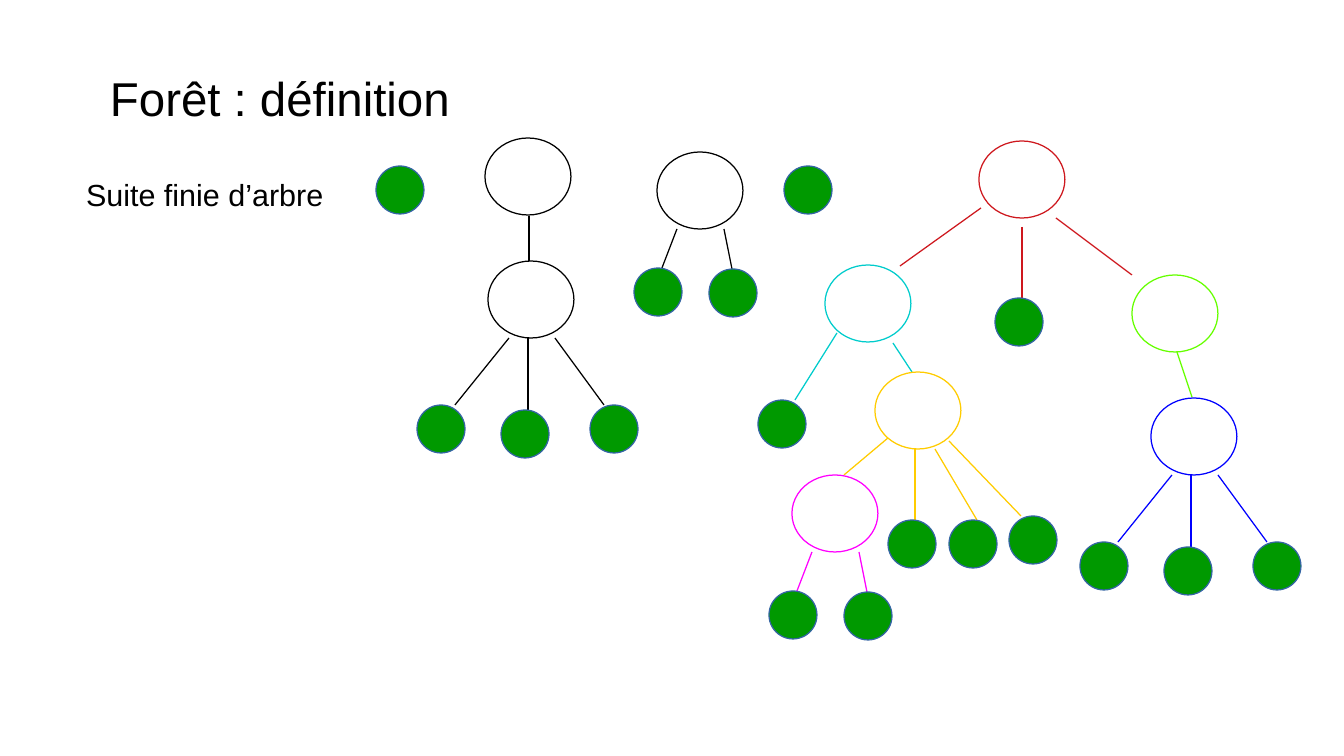
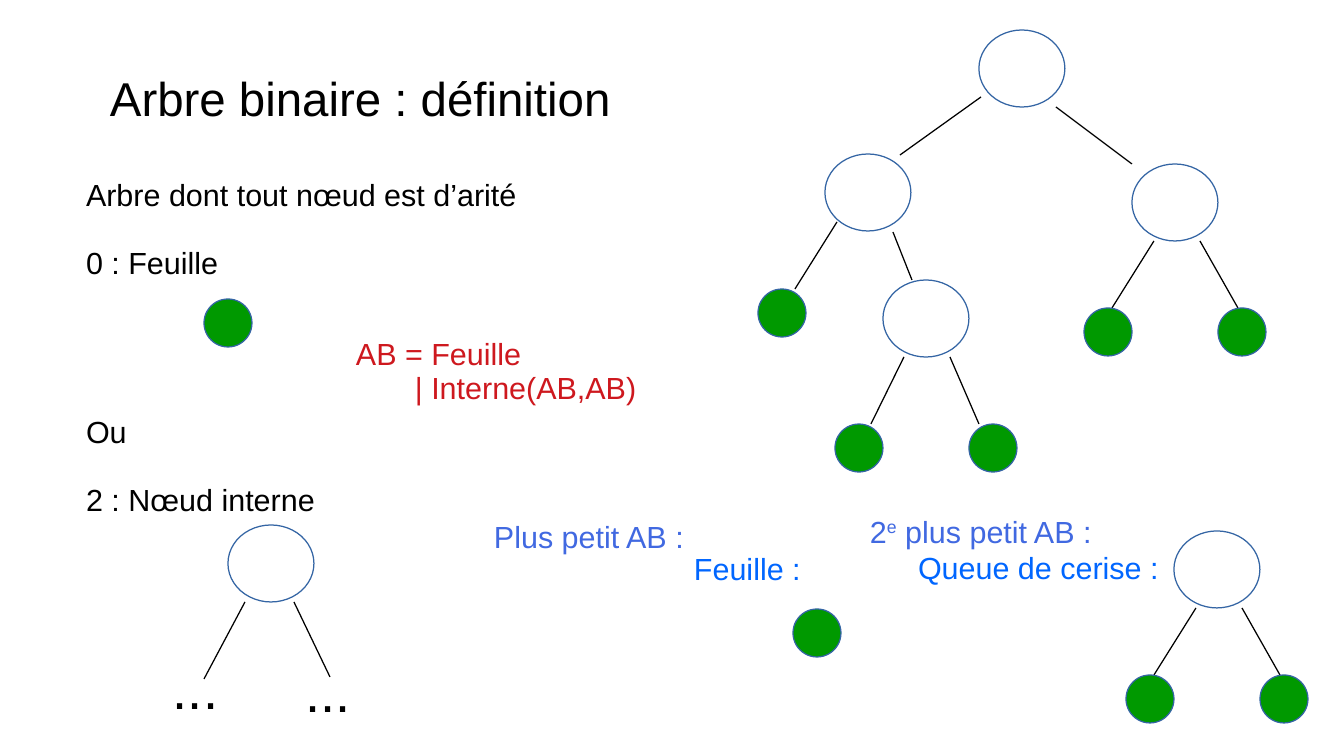
from lxml import etree
from pptx import Presentation, util as u
from pptx.dml.color import RGBColor
from pptx.enum import shapes, text
from pptx.oxml.ns import qn

PX = 914400 / 122
NODE_WIDTH, NODE_HEIGHT, LEAF = 86, 77, 48
COLOURS = {
    "black": "000000", "white": "FFFFFF", "leaf": "009900", "steel": "3465A4",
    "red": "CE181E", "cyan": "00CCCC", "yellow": "FFCC00", "magenta": "FF00FF",
    "lime": "66FF00", "blue": "0000FF", "azure": "0066FF", "royal": "4169E1",
}
RGB = {name: RGBColor.from_string(value) for name, value in COLOURS.items()}

# Leaves (left, top) and edges (x1, y1, x2, y2), measured from a node's corner
FANS = {
    "none": ([], []),
    "single": ([(16, 157)], [(43, 86, 43, 157)]),
    "left": ([(-67, 135)], [(12, 68, -30, 135)]),
    "cherries": ([(-23, 116), (52, 117)],
                 [(20, 77, 5, 116), (67, 77, 75, 117)]),
    "pair": ([(-48, 144), (86, 144)],
             [(22, 77, -20, 144), (68, 77, 106, 144)]),
    "inner pair": ([(-48, 144), (86, 144)],
                   [(21, 77, -12, 144), (67, 77, 96, 144)]),
    "three": ([(-71, 144), (13, 149), (102, 144)],
              [(21, 77, -33, 144), (40, 77, 40, 149), (67, 77, 116, 144)]),
    "right three": ([(13, 148), (74, 148), (134, 144)],
                    [(40, 77, 40, 148), (60, 77, 102, 148), (74, 69, 146, 144)]),
    "open": ([], [(17, 77, -24, 154), (66, 77, 102, 152)]),
}

# Each slide: body lines are (text, blank lines before); nodes are
# (left, top, fan, outline, edge colour); links join two nodes
PAGES = [
    {
        "title": "Forêt : définition",
        "body": [("Suite finie d’arbre", 0)],
        "nodes": [
            (485, 138, "none", "black", "black"),
            (488, 261, "three", "black", "black"),
            (657, 152, "cherries", "black", "black"),
            (979, 141, "single", "red", "red"),
            (825, 265, "left", "cyan", "cyan"),
            (1132, 275, "none", "lime", "lime"),
            (875, 372, "right three", "yellow", "yellow"),
            (792, 475, "cherries", "magenta", "magenta"),
            (1151, 398, "three", "blue", "blue"),
        ],
        "links": [
            (529, 216, 529, 261, "black"),
            (981, 208, 900, 266, "red"),
            (1056, 218, 1132, 275, "red"),
            (893, 343, 912, 372, "cyan"),
            (888, 438, 844, 475, "yellow"),
            (1177, 352, 1192, 397, "lime"),
        ],
        "leaves": [(376, 166), (784, 166)],
        "labels": [],
    },
    {
        "title": "Arbre binaire : définition",
        "body": [("Arbre dont tout nœud est d’arité", 0), ("0 : Feuille", 1),
                 ("Ou", 4), ("2 : Nœud interne", 1)],
        "nodes": [
            (979, 30, "none", "steel", "black"),
            (825, 154, "left", "steel", "black"),
            (1132, 164, "pair", "steel", "black"),
            (883, 280, "inner pair", "steel", "black"),
            (1174, 531, "pair", "steel", "black"),
            (228, 525, "open", "steel", "black"),
        ],
        "links": [
            (981, 97, 900, 155, "black"),
            (1056, 107, 1132, 164, "black"),
            (893, 232, 912, 280, "black"),
        ],
        "leaves": [(204, 299), (793, 609)],
        "labels": [
            (294, 654, 80, 93, ["..."], 32, "black"),
            (161, 651, 80, 93, ["..."], 32, "black"),
            (344, 328, 307, 81, ["AB = Feuille", "| Interne(AB,AB)"], 18, "red"),
            (682, 543, 182, 46, ["Feuille :"], 18, "azure"),
            (906, 542, 270, 46, ["Queue de cerise :"], 18, "azure"),
            (482, 511, 228, 85, ["Plus petit AB :"], 18, "royal"),
            (858, 506, 266, 85, ["2^e^ plus petit AB :"], 18, "royal"),
        ],
    },
]


def px(*lengths):
    return [u.Emu(round(length * PX)) for length in lengths]


def write_lines(box, lines, size, colour):
    """Fill a box with paragraphs; text between ^ marks is superscript."""
    frame = box.text_frame
    frame.word_wrap = True
    frame.auto_size = text.MSO_AUTO_SIZE.NONE
    frame.vertical_anchor = text.MSO_ANCHOR.TOP
    frame.margin_left, frame.margin_top, frame.margin_right, frame.margin_bottom = px(12, 10, 12, 6)
    for index, line in enumerate(lines):
        para = frame.paragraphs[0] if index == 0 else frame.add_paragraph()
        for part, words in enumerate(line.split("^")):
            span = para.add_run()
            span.text = words
            if part % 2:
                span._r.get_or_add_rPr().set("baseline", "33000")
        para.alignment = text.PP_ALIGN.LEFT
        para.line_spacing = 0.93
        para.font.name = "Arial"
        para.font.size = u.Pt(size)
        para.font.color.rgb = RGB[colour]
    return frame.paragraphs


deck = Presentation()
deck.slide_width, deck.slide_height = px(1344, 756)

for content in PAGES:
    page = deck.slides.add_slide(deck.slide_layouts[5])

    # Title
    title = page.shapes.title
    title.left, title.top, title.width, title.height = px(98, 64, 640, 70)
    write_lines(title, [content["title"]], 28, "black")

    # Body, with gaps in whole lines
    box = page.shapes.add_textbox(*px(74, 169, 560, 360))
    paras = write_lines(box, [words for words, gap in content["body"]], 18, "black")
    for para, (words, gap) in zip(paras, content["body"]):
        if gap:
            para.space_before = u.Pt(20 * gap)

    # Gather the parts of the trees
    edges = list(content["links"])
    ovals = [(x, y, LEAF, LEAF, "leaf", "steel") for x, y in content["leaves"]]
    for left, top, fan, outline, edge_colour in content["nodes"]:
        leaves, branches = FANS[fan]
        ovals.append((left, top, NODE_WIDTH, NODE_HEIGHT, "white", outline))
        ovals += [(left + x, top + y, LEAF, LEAF, "leaf", "steel") for x, y in leaves]
        edges += [(left + x1, top + y1, left + x2, top + y2, edge_colour)
                  for x1, y1, x2, y2 in branches]

    # Edges
    for x1, y1, x2, y2, colour in edges:
        edge = page.shapes.add_connector(shapes.MSO_CONNECTOR.STRAIGHT, *px(x1, y1, x2, y2))
        edge.line.color.rgb = RGB[colour]
        edge.line.width = u.Pt(0.75)
        etree.SubElement(edge._element.spPr, qn("a:effectLst"))

    # Nodes and leaves
    for left, top, width, height, fill, outline in ovals:
        oval = page.shapes.add_shape(shapes.MSO_SHAPE.OVAL, *px(left, top, width, height))
        oval.shadow.inherit = False
        oval.fill.solid()
        oval.fill.fore_color.rgb = RGB[fill]
        oval.line.color.rgb = RGB[outline]
        oval.line.width = u.Pt(0.75)

    # Labels, with any second line indented
    for left, top, width, height, lines, size, colour in content["labels"]:
        label = page.shapes.add_textbox(*px(left, top, width, height))
        for para in write_lines(label, lines, size, colour)[1:]:
            para._p.get_or_add_pPr().set("marL", str(px(59)[0]))

deck.save("out.pptx")
